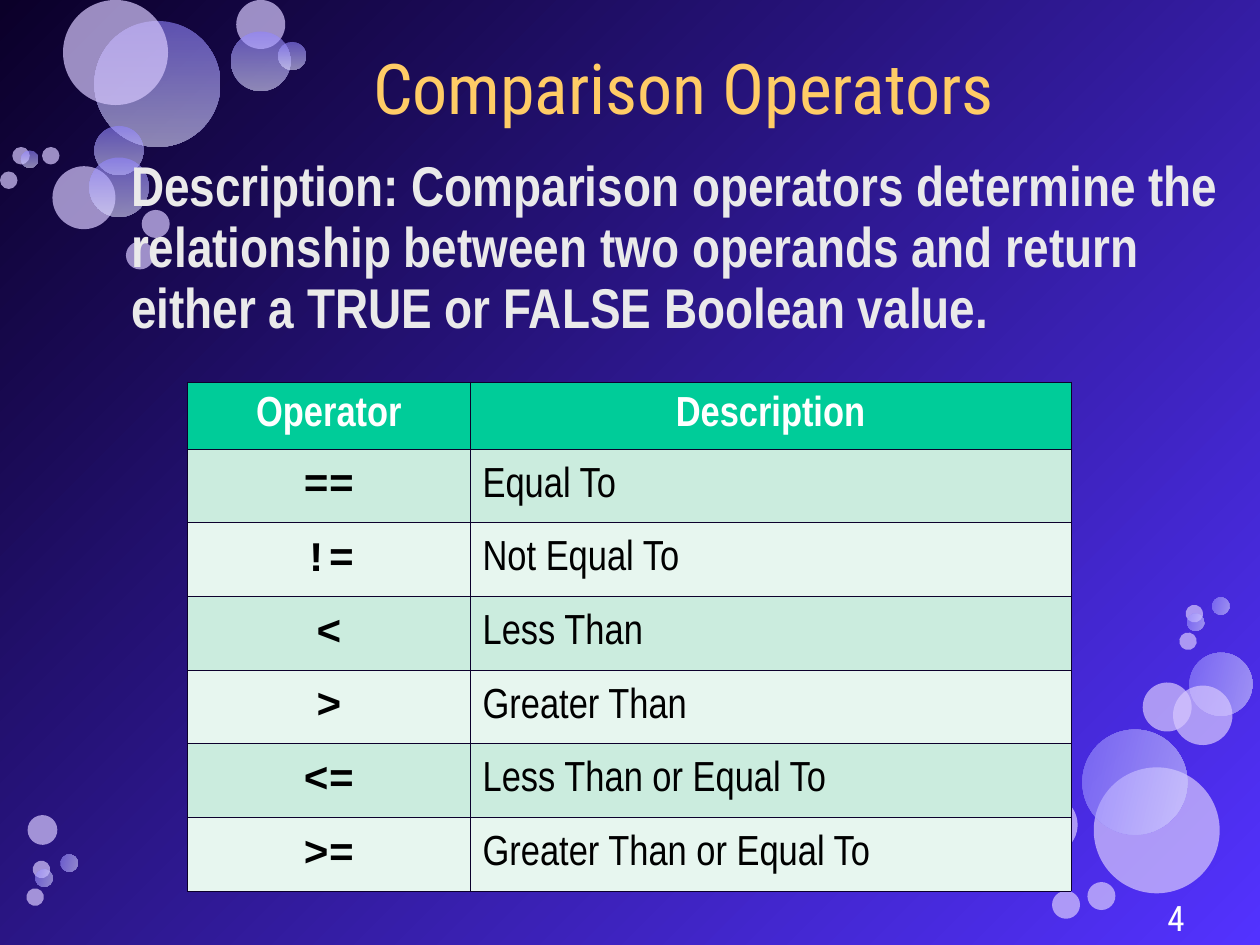
from typing import NamedTuple

import lxml.etree
import pptx
import pptx.dml.color
import pptx.enum.shapes
import pptx.enum.text
import pptx.oxml.ns
import pptx.util

Pt = pptx.util.Pt
ALIGN = pptx.enum.text.PP_ALIGN
MIDDLE = pptx.enum.text.MSO_ANCHOR.MIDDLE
qn = pptx.oxml.ns.qn

COLORS = {
    "night": "0B0029", "violet": "5332FF", "lilac": "D7C8FE",
    "glow_start": "9185FF", "glow_end": "DEDCFF",
    "title": "FFCC66", "body": "EAEAEA", "white": "FFFFFF", "black": "000000",
    "header": "00CC99", "band_dark": "CBECDE", "band_light": "E7F6EF",
    "border": "0C002C",
}


class Bubble(NamedTuple):
    left: float
    top: float
    size: float
    glowing: bool = False


class Style(NamedTuple):
    font: str
    size: float
    color: str
    bold: bool = False
    align: ALIGN = ALIGN.LEFT
    spacing: float = 1.04


TITLE = Style("Roboto Condensed", 40, "title", align=ALIGN.CENTER)
BODY = Style("Arial Narrow", 32, "body", True, spacing=0.91)
PAGE = Style("Roboto Condensed", 20, "white", align=ALIGN.RIGHT)
HEADER = Style("Arial Narrow", 24, "white", True, ALIGN.CENTER, 0.94)
SYMBOL = Style("Courier New", 24, "black", True, ALIGN.CENTER, 0.84)
MEANING = Style("Arial Narrow", 24, "black", spacing=0.94)

UPRIGHT_BUBBLES = [
    Bubble(54, 12, 72, True), Bubble(30, 95, 36), Bubble(54, 72, 28, True),
    Bubble(51, 90, 34, True), Bubble(36, 0, 60), Bubble(135, 0, 28),
    Bubble(132, 18, 34, True), Bubble(159, 24, 16, True), Bubble(81, 120, 16),
    Bubble(7, 84, 10), Bubble(72, 138, 16), Bubble(0, 98, 10),
    Bubble(12, 86, 10, True), Bubble(24, 84, 10),
]
TURNED_BUBBLES = [
    Bubble(625, 438.5, 72), Bubble(679.7, 373, 36, True), Bubble(653, 390, 28),
    Bubble(670.3, 391.7, 34), Bubble(618.5, 416.9, 60, True),
    Bubble(15.8, 465.8, 17), Bubble(581.8, 454.3, 34),
    Bubble(583.9, 480.2, 16, True), Bubble(601.2, 509, 16),
    Bubble(677.5, 345.6, 10), Bubble(621.4, 504, 16),
    Bubble(692.6, 341.3, 10, True), Bubble(678.2, 350.6, 10, True),
    Bubble(673.9, 361.4, 10), Bubble(18.7, 491.8, 10),
    Bubble(34.6, 488.2, 10, True), Bubble(20.2, 496.8, 10, True),
    Bubble(15.1, 507.6, 10),
]
OPERATORS = [
    ("==", "Equal To"), ("!=", "Not Equal To"), ("<", "Less Than"),
    (">", "Greater Than"), ("<=", "Less Than or Equal To"),
    (">=", "Greater Than or Equal To"),
]


def rgb(name: str) -> pptx.dml.color.RGBColor:
    return pptx.dml.color.RGBColor.from_string(COLORS[name])


def set_gradient(fill, start: str, end: str, angle: float) -> None:
    fill.gradient()
    fill.gradient_angle = angle
    for stop, name in zip(fill.gradient_stops, (start, end)):
        stop.color.rgb = rgb(name)


def draw_bubble(slide, bubble: Bubble, turned: bool) -> None:
    circle = slide.shapes.add_shape(
        pptx.enum.shapes.MSO_SHAPE.OVAL, Pt(bubble.left), Pt(bubble.top),
        Pt(bubble.size), Pt(bubble.size))
    circle.shadow.inherit = False
    circle.line.fill.background()
    if bubble.glowing:
        set_gradient(circle.fill, "glow_start", "glow_end", 270)
    else:
        circle.fill.solid()
        circle.fill.fore_color.rgb = rgb("lilac")
    properties = circle.element.spPr
    for color in properties.iter(qn("a:srgbClr")):
        opacity = "60000" if bubble.glowing else "70000"
        lxml.etree.SubElement(color, qn("a:alpha"), val=opacity)
    if turned:
        circle.rotation = 103.3
        properties.find(qn("a:xfrm")).set("flipV", "1")


def write(frame, text: str, style: Style) -> None:
    paragraph = frame.paragraphs[0]
    paragraph.alignment = style.align
    paragraph.line_spacing = style.spacing
    run = paragraph.add_run()
    run.text = text
    run.font.name = style.font
    run.font.size = Pt(style.size)
    run.font.bold = style.bold
    run.font.color.rgb = rgb(style.color)


def add_text(slide, left: float, top: float, width: float, height: float,
             text: str, style: Style, anchor=MIDDLE, inset: float = 0) -> None:
    frame = slide.shapes.add_textbox(
        Pt(left), Pt(top), Pt(width), Pt(height)).text_frame
    frame.word_wrap = True
    frame.vertical_anchor = anchor
    frame.margin_left = frame.margin_right = Pt(2 * inset)
    frame.margin_top = frame.margin_bottom = Pt(inset)
    write(frame, text, style)


def fill_cell(cell, text: str, style: Style, background: str) -> None:
    cell.vertical_anchor = MIDDLE
    cell.margin_left = cell.margin_right = Pt(7.2)
    cell.margin_top = cell.margin_bottom = Pt(3.6)
    write(cell.text_frame, text, style)
    properties = cell._tc.get_or_add_tcPr()
    for side in ("a:lnL", "a:lnR", "a:lnT", "a:lnB"):
        border = lxml.etree.SubElement(properties, qn(side), w=str(Pt(0.45)))
        solid = lxml.etree.SubElement(border, qn("a:solidFill"))
        lxml.etree.SubElement(solid, qn("a:srgbClr"), val=COLORS["border"])
    cell.fill.solid()
    cell.fill.fore_color.rgb = rgb(background)


def add_operator_table(slide) -> None:
    header_height, row_height = 38.4, 42.1
    widths = (161.3, 343.4)
    table = slide.shapes.add_table(
        len(OPERATORS) + 1, 2, Pt(107.3), Pt(218.2), Pt(sum(widths)),
        Pt(header_height + row_height * len(OPERATORS))).table
    for column, width in zip(table.columns, widths):
        column.width = Pt(width)
    for row in table.rows:
        row.height = Pt(row_height)
    table.rows[0].height = Pt(header_height)
    for column, heading in enumerate(("Operator", "Description")):
        fill_cell(table.cell(0, column), heading, HEADER, "header")
    for row, (symbol, meaning) in enumerate(OPERATORS, start=1):
        band = "band_dark" if row % 2 else "band_light"
        fill_cell(table.cell(row, 0), symbol, SYMBOL, band)
        fill_cell(table.cell(row, 1), meaning, MEANING, band)


def main() -> None:
    """Build the comparison operators slide."""
    deck = pptx.Presentation()
    deck.slide_width, deck.slide_height = Pt(720), Pt(540)
    slide = deck.slides.add_slide(deck.slide_layouts[6])
    set_gradient(slide.background.fill, "night", "violet", 315)
    for bubble in UPRIGHT_BUBBLES:
        draw_bubble(slide, bubble, turned=False)
    for bubble in TURNED_BUBBLES:
        draw_bubble(slide, bubble, turned=True)
    add_text(slide, 74.9, 90, 634.3, 145.4,
             "Description: Comparison operators determine the relationship "
             "between two operands and return either a TRUE or FALSE Boolean "
             "value.", BODY, pptx.enum.text.MSO_ANCHOR.TOP)
    add_text(slide, 74.9, 16.6, 631.4, 63.4, "Comparison Operators", TITLE)
    add_operator_table(slide)
    add_text(slide, 516.2, 513.4, 167.8, 20.2, "4", PAGE, inset=3.6)
    deck.save("out.pptx")


if __name__ == "__main__":
    main()
